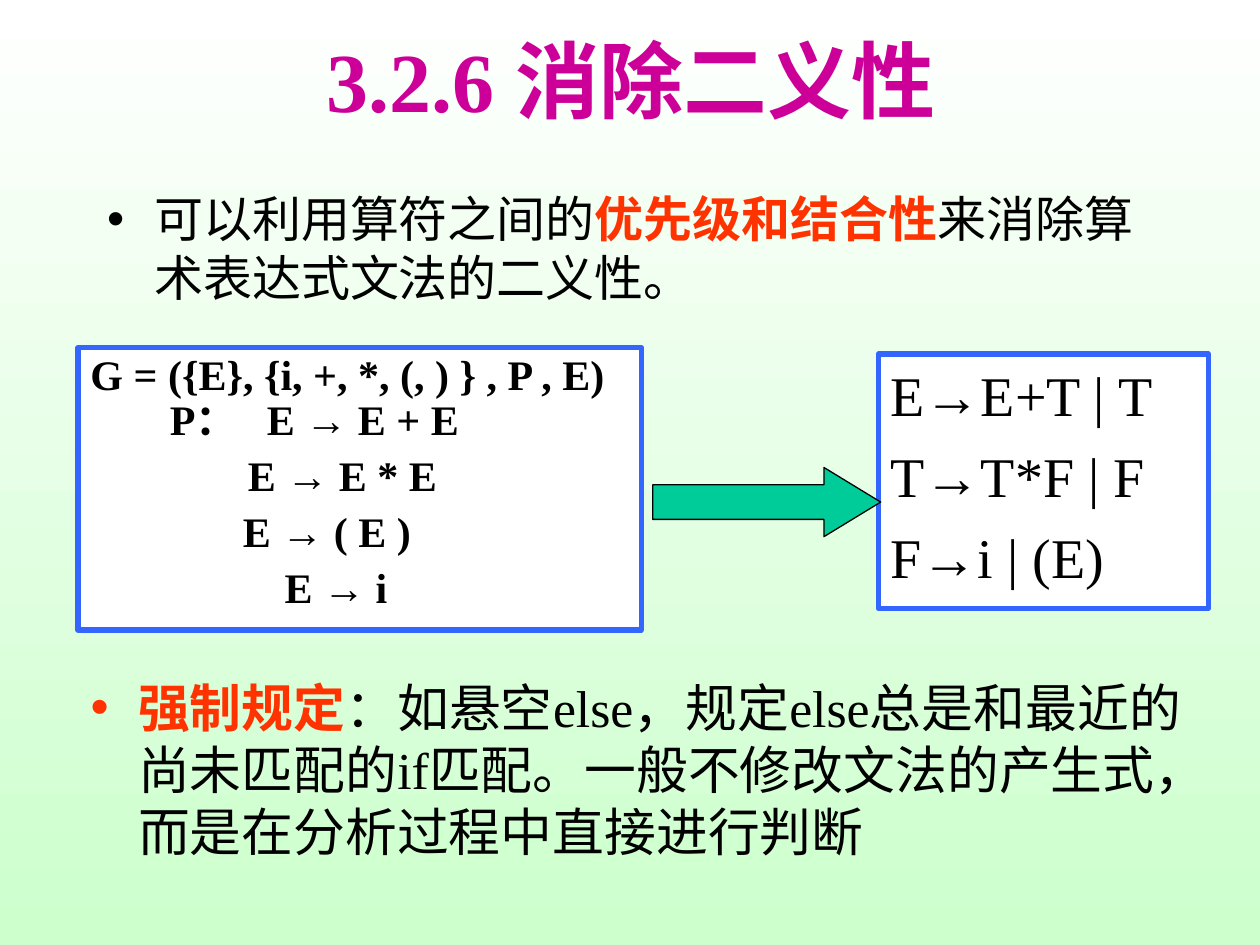
"""Build the slide on removing ambiguity from an arithmetic expression grammar."""
from pptx import Presentation
from pptx.dml.color import RGBColor
from pptx.enum.shapes import MSO_SHAPE
from pptx.enum.text import MSO_ANCHOR, MSO_AUTO_SIZE, PP_ALIGN
from pptx.util import Inches, Pt

BLACK = RGBColor(0x00, 0x00, 0x00)
WHITE = RGBColor(0xFF, 0xFF, 0xFF)
MINT = RGBColor(0xCC, 0xFF, 0xCC)
MAGENTA = RGBColor(0xCC, 0x00, 0x99)
RED = RGBColor(0xFF, 0x33, 0x00)
BLUE = RGBColor(0x33, 0x66, 0xFF)
GREEN = RGBColor(0x00, 0xCC, 0x99)

presentation = Presentation()
presentation.slide_width, presentation.slide_height = Inches(10), Inches(7.5)
column = presentation.slide_width / 100
row = presentation.slide_height / 100
slide = presentation.slides.add_slide(presentation.slide_layouts[3])

slide.background.fill.gradient()
slide.background.fill.gradient_angle = 270
for stop, color, position in zip(slide.background.fill.gradient_stops, (WHITE, MINT), (0, 1)):
    stop.color.rgb = color
    stop.position = position


def write(paragraph, text, size=24, color=BLACK, bold=False, name="Times New Roman"):
    run = paragraph.add_run()
    run.text = text
    run.font.size = Pt(size)
    run.font.color.rgb = color
    run.font.bold = bold
    run.font.name = name


def place(shape, left, top, width, height):
    shape.left, shape.top = round(left * column), round(top * row)
    shape.width, shape.height = round(width * column), round(height * row)
    shape.text_frame.word_wrap = True
    shape.text_frame.auto_size = MSO_AUTO_SIZE.NONE


title, precedence, convention = slide.placeholders
place(title, 7.6, 0, 85, 16.67)
title.text_frame.vertical_anchor = MSO_ANCHOR.MIDDLE
title.text_frame.paragraphs[0].alignment = PP_ALIGN.CENTER
write(title.text_frame.paragraphs[0], "3.2.6 消除二义性", size=48, color=MAGENTA, bold=True)

place(precedence, 7.5, 19.33, 85, 14.93)
place(convention, 6.2, 70.8, 89.6, 23.2)
bullets = (
    (precedence, 28, (("可以利用算符之间的", False), ("优先级和结合性", True),
                      ("来消除算术表达式文法的二义性。", False))),
    (convention, 29.6, (("强制规定", True),
                        ("：如悬空else，规定else总是和最近的尚未匹配的if匹配。"
                         "一般不修改文法的产生式，而是在分析过程中直接进行判断", False))),
)
for placeholder, size, parts in bullets:
    paragraph = placeholder.text_frame.paragraphs[0]
    paragraph.space_before = Pt(0)
    for text, strong in parts:
        write(paragraph, text, size=size, color=RED if strong else BLACK, bold=strong)

ambiguous_lines = (
    ("G = ({E}, {i, +, *, (, ) } , P , E)", 0, 0, 0),
    ("P：\tE → E + E", 1.4, -0.77, 0),
    ("E → E * E", 1.25, 0, 6),
    ("E → ( E )", 1.21, 0, 6),
    ("E → i", 1.54, 0, 6),
)
unambiguous_lines = (
    ("E→E+T | T", 0, 0, 0),
    ("T→T*F | F", 0, 0, 8),
    ("F→i | (E)", 0, 0, 8),
)
grammars = (
    ((6.2, 36.8, 44.7, 29.87), ambiguous_lines, 24, True, 0.9, "Arial"),
    ((69.7, 37.47, 26.2, 26.93), unambiguous_lines, 32, False, 1, "Times New Roman"),
)
for area, lines, size, bold, spacing, arrow_font in grammars:
    box = slide.shapes.add_shape(MSO_SHAPE.RECTANGLE, 0, 0, 0, 0)
    place(box, *area)
    box.shadow.inherit = False
    box.fill.solid()
    box.fill.fore_color.rgb = WHITE
    box.line.color.rgb = BLUE
    box.line.width = Pt(3)
    box.text_frame.vertical_anchor = MSO_ANCHOR.TOP
    for index, (text, margin, indent, gap) in enumerate(lines):
        paragraph = box.text_frame.add_paragraph() if index else box.text_frame.paragraphs[0]
        paragraph.alignment = PP_ALIGN.LEFT
        paragraph.line_spacing = spacing
        paragraph.space_before = Pt(gap)
        properties = paragraph._p.get_or_add_pPr()
        properties.set("marL", str(Inches(margin)))
        properties.set("indent", str(Inches(indent)))
        left_side, arrow, right_side = text.partition("→")
        write(paragraph, left_side, size=size, bold=bold)
        if arrow:
            write(paragraph, arrow, size=size, bold=bold, name=arrow_font)
            write(paragraph, right_side, size=size, bold=bold)

rewrite_arrow = slide.shapes.add_shape(MSO_SHAPE.RIGHT_ARROW, 0, 0, 0, 0)
place(rewrite_arrow, 51.8, 49.47, 18.1, 7.33)
rewrite_arrow.adjustments[0] = 0.5
rewrite_arrow.adjustments[1] = 0.82
rewrite_arrow.shadow.inherit = False
rewrite_arrow.fill.solid()
rewrite_arrow.fill.fore_color.rgb = GREEN
rewrite_arrow.line.color.rgb = BLACK
rewrite_arrow.line.width = Pt(0.75)

presentation.save("out.pptx")
